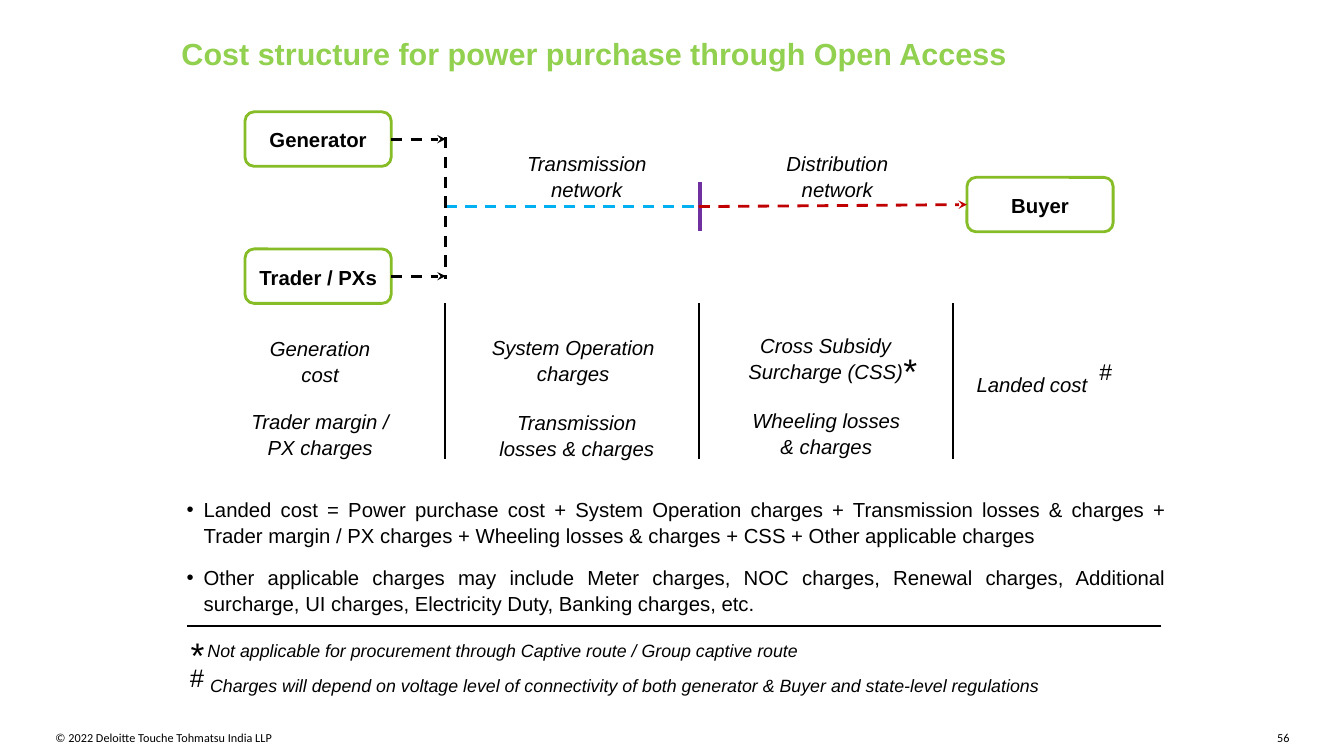
from dataclasses import dataclass

from lxml.etree import SubElement as Sub
from pptx import Presentation
from pptx.dml.color import RGBColor as Rgb
from pptx.enum.dml import MSO_LINE as Dash
from pptx.enum.shapes import MSO_CONNECTOR as Link, MSO_SHAPE as Form
from pptx.enum.text import MSO_ANCHOR as Anchor, MSO_AUTO_SIZE as Auto, PP_ALIGN as Align
from pptx.oxml.ns import qn
from pptx.util import Inches, Pt


@dataclass
class Theme:
    face: str = "Arial"
    foot: str = "Calibri"
    black: str = "000000"
    white: str = "FFFFFF"
    title: str = "92D050"
    edge: str = "86BC25"
    blue: str = "00B0F0"
    red: str = "C00000"
    violet: str = "7030A0"
    head: float = 21.8
    body: float = 14.5
    note: float = 12.7
    star: float = 25.4
    hash: float = 16.3
    mark: float = 18.1
    small: float = 8.7


class Board:
    """Draws styled elements on one slide."""

    def __init__(self, deck, theme):
        self.theme = theme
        self.slide = deck.slides.add_slide(deck.slide_layouts[5])
        self.shapes = self.slide.shapes

    def label(self, frame, texts, font, para, color=None, pad=0, anchor=Anchor.TOP, bullet=False):
        layout = {"word_wrap": True, "auto_size": Auto.NONE, "vertical_anchor": anchor}
        layout.update({f"margin_{side}": Inches(pad) for side in ("left", "top", "right", "bottom")})
        for key, value in layout.items():
            setattr(frame, key, value)
        for index, text in enumerate(texts):
            item = frame.add_paragraph() if index else frame.paragraphs[0]
            for key, value in para.items():
                setattr(item, key, value)
            if bullet:
                props = item._p.get_or_add_pPr()
                props.set("marL", str(Inches(0.17)))
                props.set("indent", str(-Inches(0.17)))
                Sub(props, qn("a:buFont"), typeface=self.theme.face)
                Sub(props, qn("a:buChar"), char="•")
            run = item.add_run()
            run.text = text
            for key, value in ({"name": self.theme.face} | font).items():
                setattr(run.font, key, value)
            run.font.color.rgb = Rgb.from_string(color or self.theme.black)

    def title(self, text, area):
        shape = self.shapes.title
        for key, value in zip(("left", "top", "width", "height"), area):
            setattr(shape, key, Inches(value))
        font = {"size": Pt(self.theme.head), "bold": True}
        self.label(shape.text_frame, [text], font, {"alignment": Align.LEFT}, self.theme.title)

    def text(self, texts, area, font, para, bullet=False):
        shape = self.shapes.add_textbox(*map(Inches, area))
        self.label(shape.text_frame, texts, font, para, bullet=bullet)

    def box(self, text, area, size=None, align=Align.CENTER, node=False):
        shape = self.shapes.add_shape(Form.ROUNDED_RECTANGLE, *map(Inches, area))
        shape.shadow.inherit = False
        if node:
            shape.fill.solid()
            shape.fill.fore_color.rgb = Rgb.from_string(self.theme.white)
            shape.line.color.rgb = Rgb.from_string(self.theme.edge)
            shape.line.width = Pt(2)
        else:
            shape.fill.background()
            shape.line.fill.background()
        font = {"size": Pt(size or self.theme.body), "bold": node, "italic": not node}
        para = {"alignment": align, "line_spacing": 1.06}
        self.label(shape.text_frame, [text], font, para, pad=0.09, anchor=Anchor.MIDDLE)
        return shape

    def line(self, start, end, color=None, width=1.5, dash=False, arrow=False, source=None, target=None):
        line = self.shapes.add_connector(Link.STRAIGHT, *map(Inches, (*start, *end)))
        if source:
            line.begin_connect(source, 3)
        if target:
            line.end_connect(target, 1)
        line.line.color.rgb = Rgb.from_string(color or self.theme.black)
        line.line.width = Pt(width)
        props = line._element.spPr
        if dash:
            line.line.dash_style = Dash.DASH
        if arrow:
            Sub(props.find(qn("a:ln")), qn("a:tailEnd"), type="stealth")
        Sub(props, qn("a:effectLst"))


def main():
    deck = Presentation()
    deck.slide_width, deck.slide_height = Inches(13.33), Inches(7.5)
    theme = Theme()
    board = Board(deck, theme)

    board.title("Cost structure for power purchase through Open Access", (1.8, 0.35, 9.73, 0.47))
    small = {"size": Pt(theme.small), "name": theme.foot}
    board.text(["© 2022 Deloitte Touche Tohmatsu India LLP"], (0.55, 7.25, 5.86, 0.22), small, {})
    board.text(["56"], (12.45, 7.25, 0.34, 0.11), small, {"alignment": Align.RIGHT})

    board.text(
        [
            "Landed cost = Power purchase cost + System Operation charges + Transmission losses & charges"
            " + Trader margin / PX charges + Wheeling losses & charges + CSS + Other applicable charges",
            "Other applicable charges may include Meter charges, NOC charges, Renewal charges, Additional"
            " surcharge, UI charges, Electricity Duty, Banking charges, etc.",
        ],
        (1.85, 4.91, 9.71, 1.29),
        {"size": Pt(theme.body)},
        {"alignment": Align.JUSTIFY, "line_spacing": 1.08, "space_after": Pt(10.9)},
        bullet=True,
    )

    nodes = [("Generator", 2.43, 1.11), ("Trader / PXs", 2.43, 2.47), ("Buyer", 9.59, 1.76)]
    maker, trader, buyer = [board.box(name, (x, y, 1.45, 0.54), node=True) for name, x, y in nodes]

    labels = [
        ("Transmission network", 5.02, 1.5, 1.6),
        ("Distribution network", 7.64, 1.5, 1.33),
        ("Generation cost", 2.37, 3.34, 1.61),
        ("Trader margin / PX charges", 2.23, 4.06, 1.89),
        ("System Operation charges", 4.76, 3.33, 1.85),
        ("Transmission losses & charges", 4.73, 4.07, 1.98),
        ("Cross Subsidy Surcharge (CSS)", 7.16, 3.31, 2.06),
        ("Wheeling losses & charges", 7.29, 4.05, 1.81),
        ("Landed cost", 9.43, 3.57, 1.61),
    ]
    for name, x, y, width in labels:
        board.box(name, (x, y, width, 0.48))

    marks = [
        ("*", (8.81, 3.42, 0.41, 0.48), theme.star),
        ("#", (10.8, 3.5, 0.25, 0.36), theme.hash),
        ("*", (1.77, 6.31, 0.32, 0.34), theme.star),
        ("#", (1.77, 6.47, 0.36, 0.48), theme.mark),
    ]
    for sign, area, size in marks:
        board.box(sign, area, size)

    notes = [
        ("Not applicable for procurement through Captive route / Group captive route", (1.95, 6.26, 7.53, 0.37)),
        (
            "Charges will depend on voltage level of connectivity of both generator & Buyer"
            " and state-level regulations",
            (1.97, 6.55, 9.56, 0.48),
        ),
    ]
    for note, area in notes:
        board.box(note, area, theme.note, Align.LEFT)

    board.line((6.94, 1.81), (6.94, 2.29), theme.violet, 3)
    board.line((6.93, 2.05), (9.59, 2.03), theme.red, 2, dash=True, arrow=True, target=buyer)
    board.line((4.42, 2.05), (6.93, 2.05), theme.blue, 2, dash=True)
    for source, y in ((maker, 1.38), (trader, 2.74)):
        board.line((3.88, y), (4.42, y), width=2, dash=True, arrow=True, source=source)
    board.line((4.42, 1.36), (4.42, 2.77), width=2, dash=True)
    for column in range(3):
        x = 4.41 + 2.52 * column
        board.line((x, 3.01), (x, 4.55))
    board.line((11.52, 6.21), (1.85, 6.21))

    deck.save("out.pptx")


if __name__ == "__main__":
    main()
